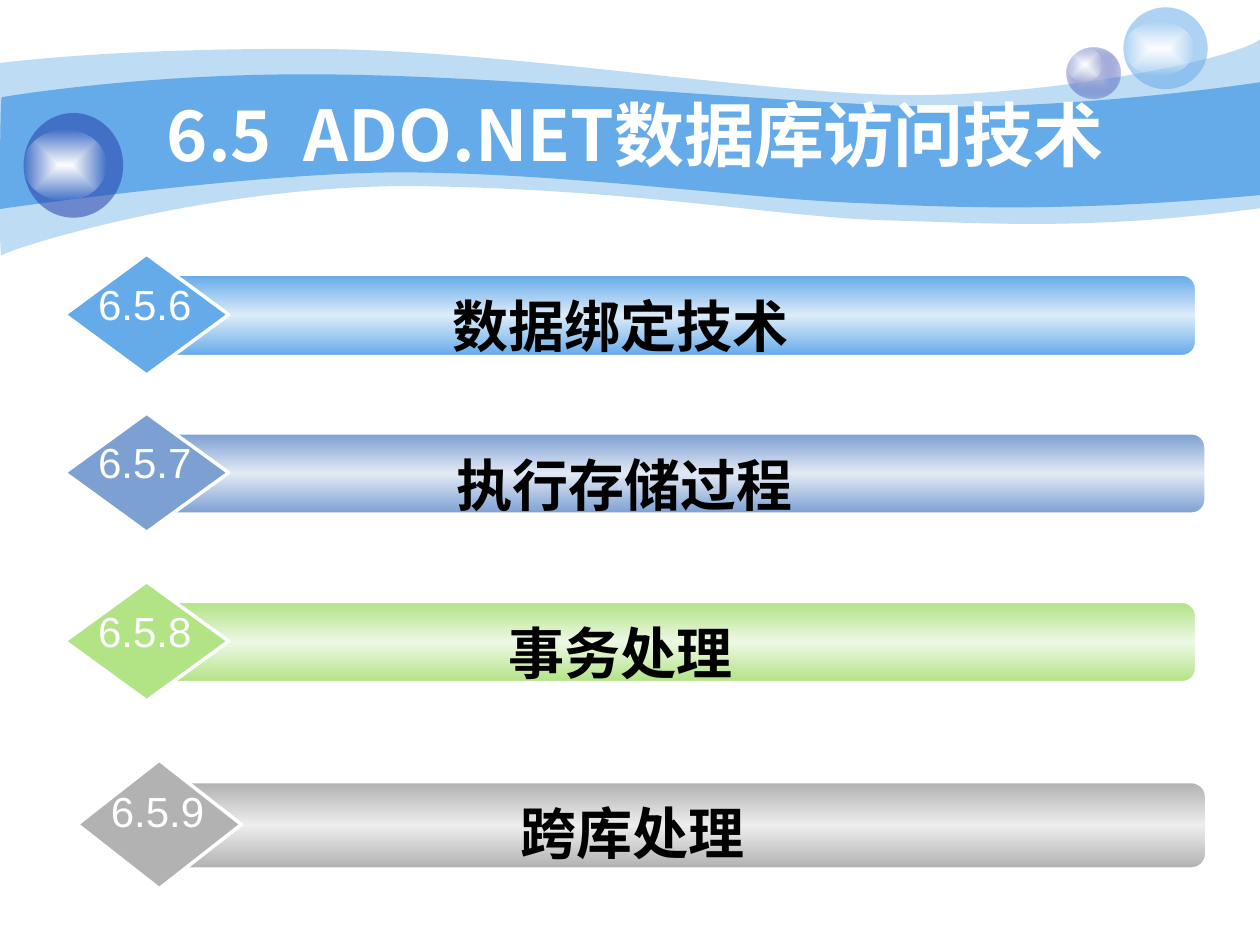
from dataclasses import dataclass
from typing import NamedTuple

from lxml import etree
from pptx import Presentation
from pptx.dml.color import RGBColor
from pptx.enum.shapes import MSO_SHAPE
from pptx.enum.text import MSO_ANCHOR, MSO_AUTO_SIZE, PP_ALIGN
from pptx.oxml.ns import qn
from pptx.util import Pt

OVAL, DIAMOND, BAR = MSO_SHAPE.OVAL, MSO_SHAPE.DIAMOND, MSO_SHAPE.ROUNDED_RECTANGLE
TOP, MIDDLE = MSO_ANCHOR.TOP, MSO_ANCHOR.MIDDLE
CENTER = PP_ALIGN.CENTER
FIXED, GROW = MSO_AUTO_SIZE.NONE, MSO_AUTO_SIZE.SHAPE_TO_FIT_TEXT


@dataclass(frozen=True)
class Theme:
    sky: str = "65AAE9"
    navy: str = "233DA9"
    mist: str = "C6CCE8"
    white: str = "FFFFFF"
    glint_edge: str = "FEFEFE"
    black: str = "000000"
    title_font: str = "Noto Sans CJK SC"
    body_font: str = "Arial"
    title_size: float = 40
    topic_size: float = 32
    number_size: float = 24


THEME = Theme()


class Stop(NamedTuple):
    position: int
    color: str
    alpha: int = 100


class Box(NamedTuple):
    left: float
    top: float
    width: float
    height: float


class Wave(NamedTuple):
    """Each segment is a line (x, y) or a cubic curve (two controls, one end)."""
    start: tuple
    segments: list
    alpha: int = 100


class Orb(NamedTuple):
    body: Box
    glint: Box
    stops: list


class Topic(NamedTuple):
    number: str
    name: str
    bar: Box
    color: str
    pale: str
    number_width: float = 67.7
    number_wraps: bool = False


WAVES = [
    Wave((0, 36),
         [(17, 34, 77, 27.5, 178, 28), (278, 28, 414, 50.5, 503, 54),
          (592, 57.5, 706, 34, 720, 22.5), (720, 119),
          (622, 132, 567, 127.5, 508, 126), (448, 124.5, 371, 109, 247, 106.5),
          (124, 103.5, 3, 143, 1, 146), (-1, 150, 0, 54, 0, 36)], 41),
    Wave((1, 55.5),
         [(1.5, 55.5, 79, 42, 178.5, 42.5), (278, 42.5, 428.5, 57.5, 517, 60.5),
          (605.5, 63.5, 703, 49.5, 720, 47), (720, 111.5),
          (614, 121, 551, 119, 491, 116), (431, 114, 322, 98.5, 228, 98.5),
          (146, 98.5, -1.5, 119.5, -0.5, 119.5), (0, 119.5, 0, 55.5, 1, 55.5)]),
]
ORBS = [
    Orb(Box(609.8, 27.4, 30.2, 28.8), Box(609.8, 27.4, 20.2, 19.4),
        [Stop(0, THEME.mist), Stop(100, THEME.navy, 31)]),
    Orb(Box(642, 4.2, 48.2, 46.8), Box(642, 12.2, 40.3, 31),
        [Stop(0, THEME.sky, 53)]),
    Orb(Box(13.5, 64.6, 56.9, 59.8), Box(13.5, 74.2, 47.5, 40.3),
        [Stop(0, THEME.navy, 53)]),
]
GLINT = [Stop(0, THEME.white), Stop(100, THEME.glint_edge, 0)]
TOPICS = [
    Topic("6.5.6", "数据绑定技术", Box(89.3, 157.2, 594, 46.1), THEME.sky, "DDECF9"),
    Topic("6.5.7", "执行存储过程", Box(89.3, 247.9, 599.4, 45.4), "7DA0D3", "E2E9F4"),
    Topic("6.5.8", "事务处理", Box(89.3, 344.2, 594, 45.4), "B2E385", "EDF8E4"),
    Topic("6.5.9", "跨库处理", Box(96.5, 447.1, 592.6, 49), "B2B2B2", "EDEDED", 117.4, True),
]


def points(box: Box) -> list:
    return [Pt(length) for length in box]


def add_color(parent, stop: Stop) -> None:
    color = etree.SubElement(parent, qn("a:srgbClr"), val=stop.color)
    if stop.alpha < 100:
        etree.SubElement(color, qn("a:alpha"), val=str(stop.alpha * 1000))


def set_fill(shape, stops: list, angle: int | None = None) -> None:
    """One stop is a solid fill; several run along angle, or from the centre out."""
    if len(stops) == 1:
        shape.fill.solid()
        solid = shape.element.spPr.find(qn("a:solidFill"))
        solid.clear()
        add_color(solid, stops[0])
        return
    shape.fill.gradient()
    gradient = shape.element.spPr.find(qn("a:gradFill"))
    gradient.clear()
    stop_list = etree.SubElement(gradient, qn("a:gsLst"))
    for stop in stops:
        entry = etree.SubElement(stop_list, qn("a:gs"), pos=str(stop.position * 1000))
        add_color(entry, stop)
    if angle is None:
        spread = etree.SubElement(gradient, qn("a:path"), {"path": "rect"})
        etree.SubElement(spread, qn("a:fillToRect"), {side: "50000" for side in "ltrb"})
    else:
        etree.SubElement(gradient, qn("a:lin"), ang=str(angle * 60000), scaled="1")


def style_shape(shape, stops: list, angle: int | None = None, border: float = 0) -> None:
    shape.shadow.inherit = False
    set_fill(shape, stops, angle)
    if border:
        shape.line.color.rgb = RGBColor.from_string(THEME.white)
        shape.line.width = Pt(border)
    else:
        shape.line.fill.background()


def write_text(holder, text: str, *, size: float, color: str, font: str = THEME.body_font,
               bold: bool = False, wrap: bool = True, anchor=TOP, fit=GROW) -> None:
    frame = holder.text_frame
    frame.text = text
    frame.word_wrap, frame.vertical_anchor, frame.auto_size = wrap, anchor, fit
    paragraph = frame.paragraphs[0]
    paragraph.alignment = CENTER
    run = paragraph.runs[0]
    run.font.name, run.font.size, run.font.bold = font, Pt(size), bold
    run.font.color.rgb = RGBColor.from_string(color)
    latin = next(holder.element.iter(qn("a:latin")))
    latin.addnext(etree.Element(qn("a:ea"), typeface=font))


def draw_wave(slide, wave: Wave) -> None:
    """Lay out every curve point as a line, then join each three into one curve."""
    vertices = [(Pt(x), Pt(y)) for segment in wave.segments
                for x, y in zip(segment[::2], segment[1::2])]
    builder = slide.shapes.build_freeform(Pt(wave.start[0]), Pt(wave.start[1]))
    builder.add_line_segments(vertices, close=True)
    band = builder.convert_to_shape()
    lines = iter(list(band.element.iter(qn("a:lnTo"))))
    for segment in wave.segments:
        first = next(lines)
        if len(segment) == 2:
            continue
        curve = etree.Element(qn("a:cubicBezTo"))
        first.addprevious(curve)
        for line in (first, next(lines), next(lines)):
            curve.append(line[0])
            line.getparent().remove(line)
    style_shape(band, [Stop(0, THEME.sky, wave.alpha)])


def draw_orb(slide, orb: Orb) -> None:
    group = slide.shapes.add_group_shape().shapes
    for box, stops in ((orb.body, orb.stops), (orb.glint, GLINT)):
        style_shape(group.add_shape(OVAL, *points(box)), stops)


def draw_topic(slide, topic: Topic) -> None:
    group = slide.shapes.add_group_shape().shapes
    left, top, width, height = topic.bar
    bar = group.add_shape(BAR, *points(topic.bar))
    bar.adjustments[0] = 0.167
    style_shape(bar, [Stop(0, topic.color), Stop(50, topic.pale), Stop(100, topic.color)],
                angle=90, border=1)
    badge_box = Box(left - 52.4, top - height * 0.26, 93.8, height * 1.5)
    badge = group.add_shape(DIAMOND, *points(badge_box))
    style_shape(badge, [Stop(0, topic.color)], border=2)
    name = group.add_textbox(*points(Box(left + 31, top + 5.8, width * 0.79, 46.1)))
    write_text(name, topic.name, size=THEME.topic_size, color=THEME.black, bold=True)
    number_left = badge_box.left + (badge_box.width - topic.number_width) / 2 - 1
    number = group.add_textbox(*points(Box(number_left, top - 1.8, topic.number_width, 36)))
    write_text(number, topic.number, size=THEME.number_size, color=THEME.white,
               wrap=topic.number_wraps)


def main() -> None:
    deck = Presentation()
    deck.slide_width, deck.slide_height = Pt(720), Pt(540)
    slide = deck.slides.add_slide(deck.slide_layouts[5])
    for wave in WAVES:
        draw_wave(slide, wave)
    for orb in ORBS:
        draw_orb(slide, orb)
    title = slide.shapes.title
    title.element.getparent().append(title.element)  # in front of the waves
    title.left, title.top, title.width, title.height = points(Box(72, 54, 582, 44.6))
    write_text(title, "6.5  ADO.NET数据库访问技术", size=THEME.title_size, color=THEME.white,
               font=THEME.title_font, bold=True, anchor=MIDDLE, fit=FIXED)
    for topic in TOPICS:
        draw_topic(slide, topic)
    deck.save("out.pptx")


if __name__ == "__main__":
    main()
